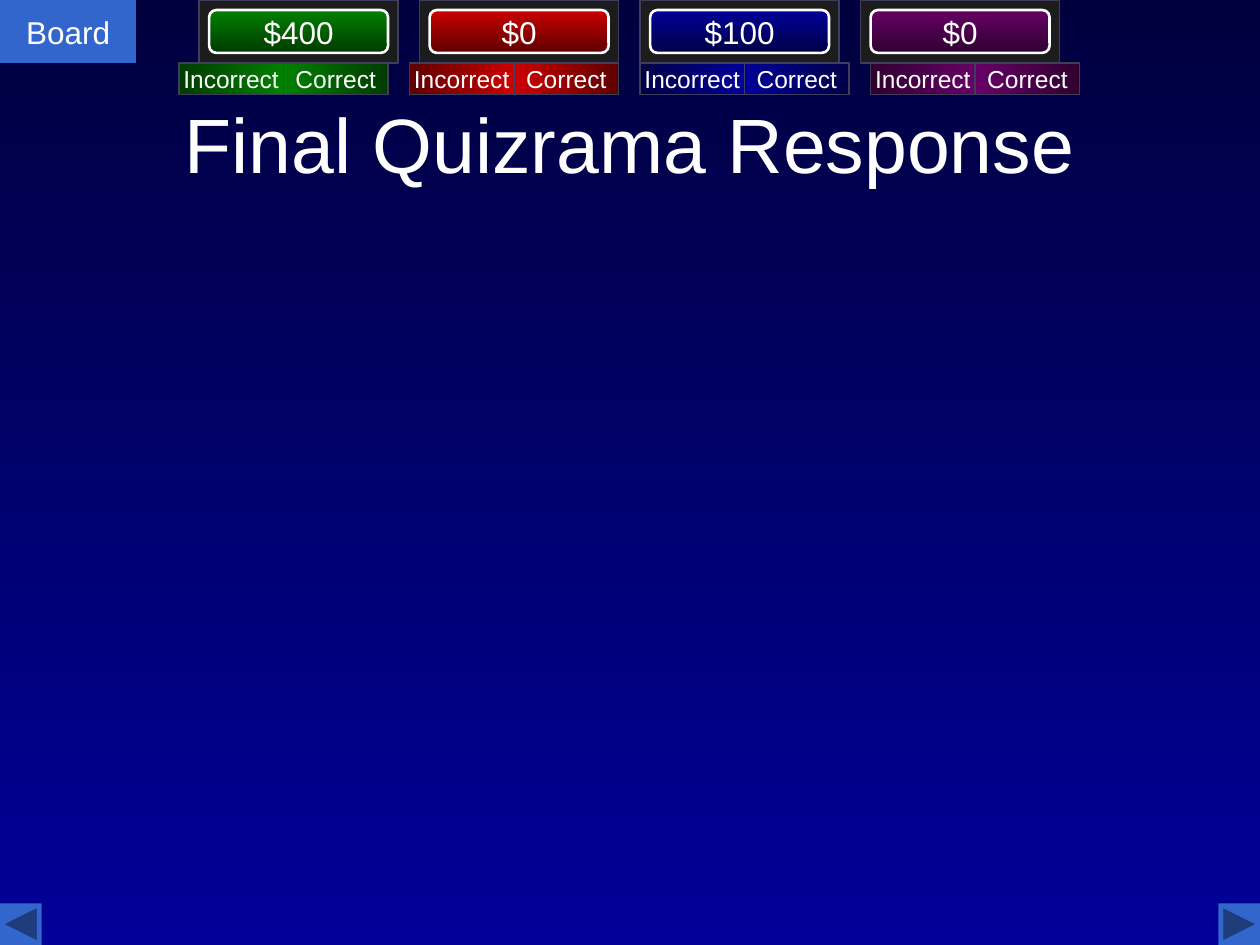
from pptx import Presentation
from pptx.dml.color import RGBColor
from pptx.enum.shapes import MSO_SHAPE as SHAPE
from pptx.enum.text import MSO_ANCHOR as ANCHOR, PP_ALIGN as ALIGN
from pptx.util import Inches, Pt

# Content: score, bright colour, dark colour of each team
TITLE = "Final Quizrama Response"
TEAMS = [
    ("$400", "008000", "003B00"),
    ("$0", "CC0000", "5E0000"),
    ("$100", "000099", "000046"),
    ("$0", "660066", "2F002F"),
]
BACKGROUND = ("00003E", "000099")
WHITE, BUTTON, PANEL, EDGE = "FFFFFF", "3366CC", "1C1C1C", "3E3E5C"
DOWN, RIGHT = 270, 0

# Layout in inches
PANEL_LEFT, PANEL_STEP, PANEL_WIDTH, PANEL_HEIGHT = 1.58, 1.75, 1.58, 0.5
SCORE_INSET = 0.08
ANSWER_LEFT, ANSWER_STEP, ANSWER_WIDTH, ANSWER_HEIGHT = 1.42, 1.83, 0.83, 0.25
ARROW = 0.33


def rgb(color):
    return RGBColor.from_string(color)


def set_gradient(fill, colors, angle):
    fill.gradient()
    fill.gradient_angle = angle
    for stop, color in zip(fill.gradient_stops, colors):
        stop.color.rgb = rgb(color)


def set_text(shape, text, size, wrap=False):
    frame = shape.text_frame
    frame.text = text
    frame.word_wrap = wrap
    frame.vertical_anchor = ANCHOR.MIDDLE
    paragraph = frame.paragraphs[0]
    paragraph.alignment = ALIGN.CENTER
    font = paragraph.runs[0].font
    font.name, font.size, font.color.rgb = "Arial", Pt(size), rgb(WHITE)


def add_box(kind, box, fill, angle=DOWN, line=None, line_width=0.75):
    """Add a shape; fill is one colour or a pair for a gradient."""
    shape = slide.shapes.add_shape(kind, *map(Inches, box))
    shape.shadow.inherit = False
    if isinstance(fill, str):
        shape.fill.solid()
        shape.fill.fore_color.rgb = rgb(fill)
    else:
        set_gradient(shape.fill, fill, angle)
    if line:
        shape.line.color.rgb = rgb(line)
        shape.line.width = Pt(line_width)
    else:
        shape.line.fill.background()
    return shape


presentation = Presentation()
presentation.slide_width, presentation.slide_height = Inches(10), Inches(7.5)
slide = presentation.slides.add_slide(presentation.slide_layouts[6])
set_gradient(slide.background.fill, BACKGROUND, DOWN)

# Navigation buttons
board = add_box(SHAPE.ACTION_BUTTON_CUSTOM, (0, 0, 1.08, 0.5), BUTTON)
set_text(board, "Board", 18)
for kind, left in ((SHAPE.ACTION_BUTTON_BACK_OR_PREVIOUS, 0),
                   (SHAPE.ACTION_BUTTON_FORWARD_OR_NEXT, 10 - ARROW)):
    add_box(kind, (left, 7.5 - ARROW, ARROW, ARROW), BUTTON)

# Title
title = slide.shapes.add_textbox(Inches(0.5), Inches(0.67), Inches(9), Inches(0.92))
set_text(title, TITLE, 44, wrap=True)

# Score panel and answer buttons of each team
for index, (score, bright, dark) in enumerate(TEAMS):
    left = PANEL_LEFT + index * PANEL_STEP
    add_box(SHAPE.RECTANGLE, (left, 0, PANEL_WIDTH, PANEL_HEIGHT), PANEL, line=EDGE)
    score_box = (left + SCORE_INSET, SCORE_INSET,
                 PANEL_WIDTH - 2 * SCORE_INSET, PANEL_HEIGHT - 2 * SCORE_INSET)
    display = add_box(SHAPE.ROUNDED_RECTANGLE, score_box, (bright, dark),
                      line=WHITE, line_width=1.5)
    set_text(display, score, 18)

    left = ANSWER_LEFT + index * ANSWER_STEP
    answers = (("Incorrect", (dark, bright)), ("Correct", (bright, dark)))
    for column, (label, colors) in enumerate(answers):
        answer_box = (left + column * ANSWER_WIDTH, PANEL_HEIGHT,
                      ANSWER_WIDTH, ANSWER_HEIGHT)
        answer = add_box(SHAPE.RECTANGLE, answer_box, colors, RIGHT, line=EDGE)
        set_text(answer, label, 14)

presentation.save("out.pptx")
